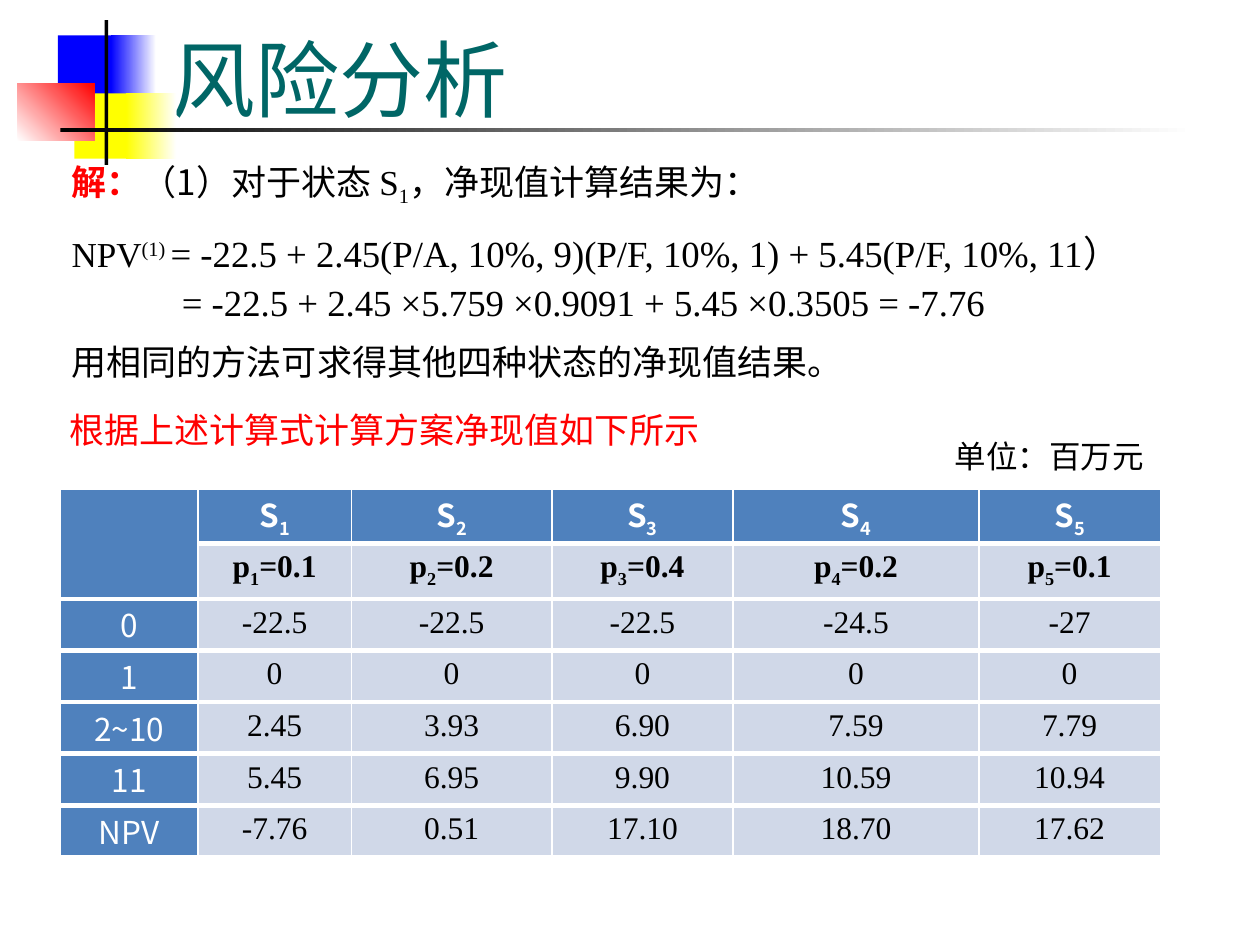
from lxml import etree
from pptx import Presentation
from pptx.dml.color import RGBColor
from pptx.enum.shapes import MSO_SHAPE
from pptx.enum.text import MSO_ANCHOR, MSO_AUTO_SIZE, PP_ALIGN
from pptx.oxml.ns import qn
from pptx.util import Inches, Pt

RECTANGLE = MSO_SHAPE.RECTANGLE
MIDDLE, TOP = MSO_ANCHOR.MIDDLE, MSO_ANCHOR.TOP
LEFT, CENTER = PP_ALIGN.LEFT, PP_ALIGN.CENTER
NO_FIT = MSO_AUTO_SIZE.NONE

BLACK = RGBColor(0x00, 0x00, 0x00)
WHITE = RGBColor(0xFF, 0xFF, 0xFF)
RED = RGBColor(0xFF, 0x00, 0x00)
YELLOW = RGBColor(0xFF, 0xFF, 0x00)
BLUE = RGBColor(0x00, 0x00, 0xFF)
TEAL = RGBColor(0x00, 0x66, 0x66)
HEADER_BLUE = RGBColor(0x4F, 0x81, 0xBD)
PALE_BLUE = RGBColor(0xD0, 0xD8, 0xE8)

SANS, SERIF = "Noto Sans CJK SC", "Times New Roman"
SUB, SUPER = -25, 30


class SlideBuilder:
    """Places elements on a grid of 100 columns by 75 rows."""

    cell = Inches(0.1)

    def __init__(self, deck):
        deck.slide_width, deck.slide_height = self.cell * 100, self.cell * 75
        self.slide = deck.slides.add_slide(deck.slide_layouts[5])
        self.shapes = self.slide.shapes

    def grid(self, *units):
        return [round(self.cell * unit) for unit in units]

    def block(self, at, start, end=None, angle=0):
        box = self.shapes.add_shape(RECTANGLE, *self.grid(*at))
        box.shadow.inherit = False
        box.line.fill.background()
        if end is None:
            box.fill.solid()
            box.fill.fore_color.rgb = start
            return
        box.fill.gradient()
        box.fill.gradient_angle = angle
        for stop, color in zip(box.fill.gradient_stops, (start, end)):
            stop.color.rgb = color

    def add_spans(self, para, spans, size, font=SANS, color=BLACK, bold=False):
        """Each span is (text, overrides of size, font, color, bold or base)."""
        for text, change in spans:
            span = para.add_run()
            span.text = text
            span.font.size = Pt(change.get("size", size))
            span.font.name = change.get("font", font)
            span.font.bold = change.get("bold", bold)
            span.font.color.rgb = change.get("color", color)
            properties = span._r.get_or_add_rPr()
            etree.SubElement(properties, qn("a:ea"), typeface=SANS)
            if "base" in change:
                properties.set("baseline", str(change["base"] * 1000))

    def frame(self, box):
        frame = box.text_frame
        frame.word_wrap = True
        frame.auto_size = NO_FIT
        frame.vertical_anchor = MIDDLE
        return frame

    def title(self, text, at):
        box = self.shapes.title
        box.left, box.top, box.width, box.height = self.grid(*at)
        para = self.frame(box).paragraphs[0]
        para.alignment = LEFT
        self.add_spans(para, [(text, {})], 48, SERIF, TEAL)

    def text(self, at, lines, size=20, font=SANS, color=BLACK, spacing=None):
        """Each line is (left indent in columns, spans)."""
        frame = self.frame(self.shapes.add_textbox(*self.grid(*at)))
        for number, (indent, spans) in enumerate(lines):
            para = frame.add_paragraph() if number else frame.paragraphs[0]
            para.line_spacing = spacing
            if indent:
                properties = para._p.get_or_add_pPr()
                properties.set("marL", str(self.grid(indent)[0]))
                properties.set("indent", "0")
            self.add_spans(para, spans, size, font, color)

    def borders(self, cell, top):
        properties = cell._tc.get_or_add_tcPr()
        for place, (side, width) in enumerate(
                (("L", 1), ("R", 1), ("T", top), ("B", 3))):
            line = etree.Element(qn(f"a:ln{side}"), w=str(int(Pt(width))))
            fill = etree.SubElement(line, qn("a:solidFill"))
            etree.SubElement(fill, qn("a:srgbClr"), val=str(WHITE))
            properties.insert(place, line)

    def table(self, at, widths, heights, rows):
        table = self.shapes.add_table(
            len(heights), len(widths), *self.grid(*at, sum(widths), sum(heights))
        ).table
        for column, width in zip(table.columns, self.grid(*widths)):
            column.width = width
        for row, height in zip(table.rows, self.grid(*heights)):
            row.height = height
        for r, row in enumerate(rows):
            for c, spans in enumerate(row):
                cell = table.cell(r, c)
                heading = r == 0 or c == 0
                cell.fill.solid()
                cell.fill.fore_color.rgb = HEADER_BLUE if heading else PALE_BLUE
                self.borders(cell, 3 if r else 1)
                cell.vertical_anchor = TOP
                # Sans lines are taller, so headings get slimmer margins
                cell.margin_top = cell.margin_bottom = Inches(
                    0.02 if heading else 0.05)
                para = cell.text_frame.paragraphs[0]
                para.alignment = CENTER
                self.add_spans(para, spans, 18, SANS if heading else SERIF,
                               WHITE if heading else BLACK, r < 2)
        table.cell(0, 0).merge(table.cell(1, 0))


def main():
    deck = Presentation()
    page = SlideBuilder(deck)

    # Corner ornament and title rule
    page.block((4.6, 2.8, 4.8, 5.2), BLUE)
    page.block((8.8, 2.8, 3.6, 5.2), BLUE, WHITE)
    page.block((5.9, 7.4, 4.6, 5.2), YELLOW)
    page.block((10, 7.4, 4, 5.2), YELLOW, WHITE)
    page.block((1.4, 6.6, 6.1, 4.6), WHITE, RED, angle=45)
    page.block((8.3, 1.6, 0.3, 11.5), BLACK)
    page.block((4.8, 10.2, 90, 0.3), BLACK, WHITE)
    page.title("风险分析", (12.6, 1.6, 85.2, 9.2))

    # Worked solution
    page.text((4.7, 12.4, 59.3, 4.4), [(0, [
        ("解：", {"color": RED, "bold": True}),
        ("（1）对于状态 ", {}),
        ("S", {"font": SERIF}),
        ("1", {"font": SERIF, "base": SUB}),
        ("，净现值计算结果为：", {}),
    ])])
    page.text((4.7, 17.5, 89.4, 8.6), [
        (0, [("NPV", {"size": 20}),
             ("(1) ", {"size": 20, "base": SUPER}),
             ("= -22.5 + 2.45(P/A, 10%, 9)(P/F, 10%, 1)"
              " + 5.45(P/F, 10%, 11）", {})]),
        (8.75, [("= -22.5 + 2.45 ×5.759 ×0.9091 + 5.45 ×0.3505 = -7.76", {})]),
    ], size=21, font=SERIF, spacing=1.12)
    page.text((4.7, 26.5, 77.2, 4.4),
              [(0, [("用相同的方法可求得其他四种状态的净现值结果。", {})])])
    page.text((4.5, 31.9, 54.4, 4.4),
              [(0, [("根据上述计算式计算方案净现值如下所示", {})])], color=RED)
    page.text((74.8, 34.2, 20.7, 4), [(0, [("单位：百万元", {})])], size=18)

    # Net present value by state
    chances = ("0.1", "0.2", "0.4", "0.2", "0.1")
    cash_flows = (
        ("0", "-22.5", "-22.5", "-22.5", "-24.5", "-27"),
        ("1", "0", "0", "0", "0", "0"),
        ("2~10", "2.45", "3.93", "6.90", "7.59", "7.79"),
        ("11", "5.45", "6.95", "9.90", "10.59", "10.94"),
        ("NPV", "-7.76", "0.51", "17.10", "18.70", "17.62"),
    )
    states = [[]]
    odds = [[]]
    for number, chance in enumerate(chances, 1):
        index = (str(number), {"base": SUB})
        states.append([("S", {}), index])
        odds.append([("p", {}), index, (f"={chance}", {})])
    body = [[[(value, {})] for value in row] for row in cash_flows]
    page.table((4.8, 38.8), (10.9, 12.2, 15.9, 14.4, 19.5, 14.4),
               [4.3, 4.4] + [4.1] * len(body), [states, odds] + body)

    deck.save("out.pptx")


if __name__ == "__main__":
    main()
